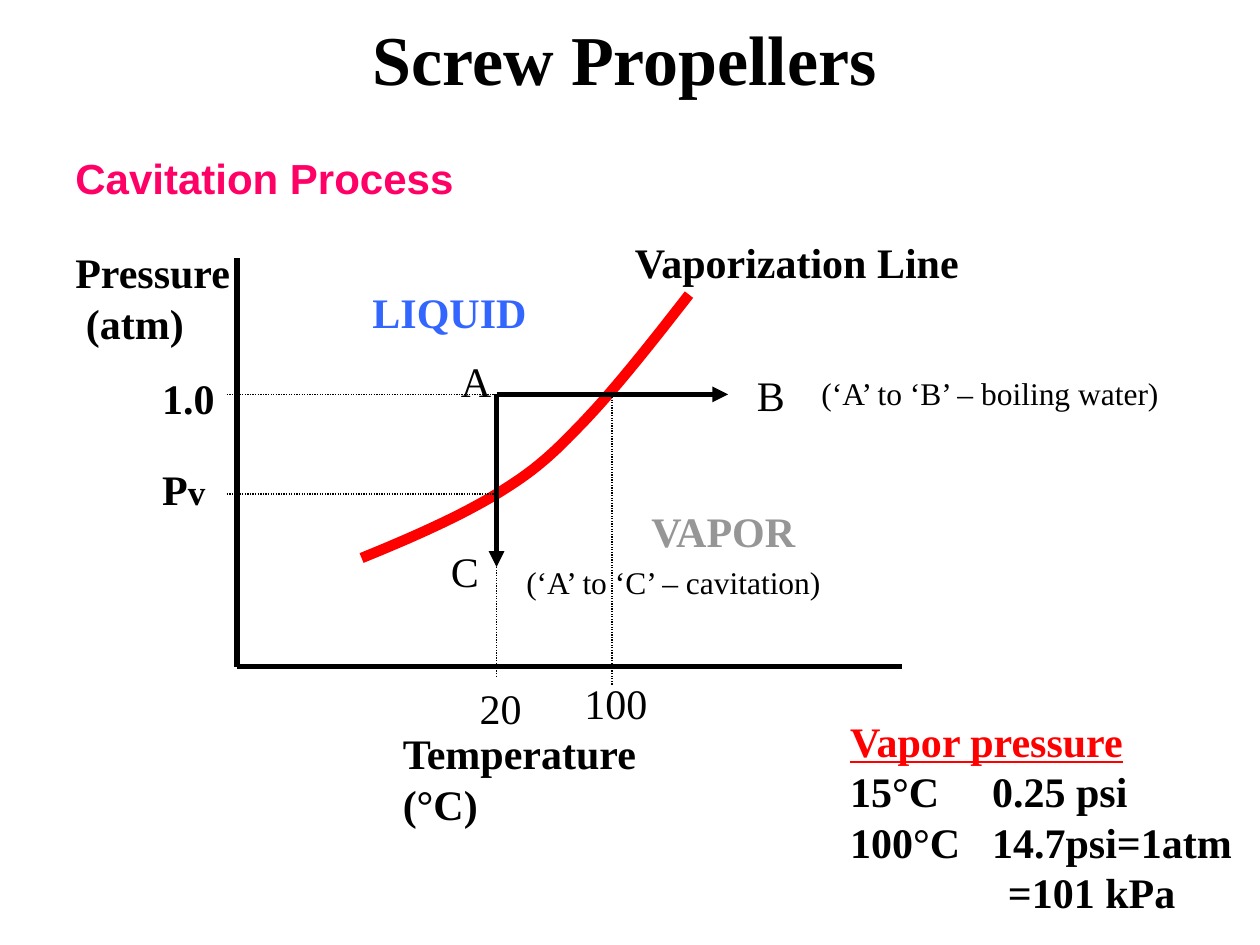
from dataclasses import dataclass

from lxml.etree import SubElement
from pptx import Presentation
from pptx.dml.color import RGBColor
from pptx.enum.dml import MSO_LINE
from pptx.enum.shapes import MSO_CONNECTOR
from pptx.enum.text import MSO_AUTO_SIZE
from pptx.oxml.ns import qn
from pptx.shapes.autoshape import Shape
from pptx.slide import Slide
from pptx.util import Cm, Pt

COLORS = {
    "black": "000000",
    "pink": "FF0066",
    "red": "FF0000",
    "blue": "3366FF",
    "gray": "969696",
}
SERIF = "Times New Roman"

# Key positions on the diagram, in centimetres
LEFT, BASE = 4.78, 13.44
COLD, HOT = 10.01, 12.34
ATM, VAPOR = 7.95, 9.96
TICK = 4.57


@dataclass
class Label:
    text: str
    x: float
    y: float
    w: float
    h: float = 1.27
    size: int = 24
    color: str = "black"
    bold: bool = True
    font: str = SERIF
    wrap: bool = False


@dataclass
class Line:
    x1: float
    y1: float
    x2: float
    y2: float
    width: float = 3
    arrow: bool = False
    dots: bool = False


LINES = [
    Line(LEFT, BASE, LEFT, 5.21),
    Line(LEFT, BASE, 18.19, BASE),
    Line(COLD, ATM, 14.68, ATM, arrow=True),
    Line(COLD, ATM, COLD, 11.43, arrow=True),
    Line(TICK, VAPOR, COLD, VAPOR, 0.75, dots=True),
    Line(TICK, ATM, COLD, ATM, 0.75, dots=True),
    Line(COLD, 11.07, COLD, 13.64, 0.75, dots=True),
    Line(HOT, ATM, HOT, 13.82, 0.75, dots=True),
]

# Start point, then Bezier pieces of two control points and an end point
START = (13.89, 5.94)
CURVE = [
    ((13.16, 6.88), (12.42, 7.82), (11.76, 8.51)),
    ((11.13, 9.17), (10.77, 9.5), (COLD, VAPOR)),
    ((9.27, 10.41), (8.28, 10.85), (7.29, 11.25)),
]
STEPS = 16

LABELS = [
    Label("Cavitation Process", 1.27, 2.95, 8.13, color="pink", font="Arial"),
    Label("Pressure\n (atm)", 1.27, 4.85, 3.66, 2.29),
    Label("Vaporization Line", 12.55, 4.65, 7.11),
    Label("Temperature (°C)", 7.87, 14.55, 6.45, 2.29, wrap=True),
    Label("LIQUID", 7.26, 5.66, 3.63, color="blue"),
    Label("VAPOR", 12.88, 10.06, 3.53, color="gray"),
    Label("20", 9.42, 13.64, 1.35, bold=False),
    Label("100", 11.53, 13.54, 1.78, bold=False),
    Label("1.0", 3.02, 7.39, 1.57),
    Label("A", 9.04, 7.04, 1.12, bold=False),
    Label("B", 15.01, 7.32, 1.07, bold=False),
    Label("C", 8.84, 10.87, 1.07, bold=False),
    Label("(‘A’ to ‘B’ – boiling water)", 16.31, 7.42, 7.82, 1.02, 18,
          bold=False, wrap=True),
    Label("(‘A’ to ‘C’ – cavitation)", 10.36, 11.23, 7.82, 1.02, 18,
          bold=False, wrap=True),
    Label("Screw Propellers", 7.26, 0.18, 10.74, 1.96, 40),
]
SUB = Label("P", 3.02, 9.22, 1.37)
FACTS = Label("Vapor pressure\n15°C\t0.25 psi\n100°C\t14.7psi=1atm\n=101 kPa",
              16.89, 14.3, 8.2, 4.32)


def shade(name: str) -> RGBColor:
    return RGBColor.from_string(COLORS[name])


def draw_line(slide: Slide, line: Line) -> None:
    shape = slide.shapes.add_connector(
        MSO_CONNECTOR.STRAIGHT,
        Cm(line.x1), Cm(line.y1), Cm(line.x2), Cm(line.y2))
    shape.line.color.rgb = shade("black")
    shape.line.width = Pt(line.width)
    if line.dots:
        shape.line.dash_style = MSO_LINE.ROUND_DOT
    if line.arrow:
        SubElement(shape.line._get_or_add_ln(), qn("a:tailEnd"), type="triangle")
    SubElement(shape._element.spPr, qn("a:effectLst"))


def draw_curve(slide: Slide) -> None:
    """Trace the Bezier pieces as one smooth open outline."""
    points = []
    begin = START
    for one, two, end in CURVE:
        for step in range(1, STEPS + 1):
            t = step / STEPS
            u = 1 - t
            points.append(tuple(
                Cm(u**3 * a + 3 * u * u * t * b + 3 * u * t * t * c + t**3 * d)
                for a, b, c, d in zip(begin, one, two, end)))
        begin = end
    path = slide.shapes.build_freeform(Cm(START[0]), Cm(START[1]))
    path.add_line_segments(points, close=False)
    shape = path.convert_to_shape()
    shape.shadow.inherit = False
    shape.fill.background()
    shape.line.color.rgb = shade("red")
    shape.line.width = Pt(6)


def draw_label(slide: Slide, label: Label) -> Shape:
    box = slide.shapes.add_textbox(
        Cm(label.x), Cm(label.y), Cm(label.w), Cm(label.h))
    frame = box.text_frame
    frame.text = label.text
    frame.word_wrap = label.wrap
    frame.auto_size = MSO_AUTO_SIZE.SHAPE_TO_FIT_TEXT
    for par in frame.paragraphs:
        for run in par.runs:
            font = run.font
            font.name = label.font
            font.size = Pt(label.size)
            font.bold = label.bold
            font.color.rgb = shade(label.color)
    return box


def draw_sub(slide: Slide) -> None:
    """Write the vapor pressure symbol with its smaller second letter."""
    par = draw_label(slide, SUB).text_frame.paragraphs[0]
    run = par.add_run()
    run.text = "v"
    run.font.name = SERIF
    run.font.size = Pt(20)
    run.font.bold = True
    run.font.color.rgb = shade("black")


def draw_facts(slide: Slide) -> None:
    """Write the vapor pressure list, aligned by tab stops and an indent."""
    head, *rows, last = draw_label(slide, FACTS).text_frame.paragraphs
    font = head.runs[0].font
    font.color.rgb = shade("red")
    font.underline = True
    for row in rows:
        tabs = SubElement(row._p.get_or_add_pPr(), qn("a:tabLst"))
        SubElement(tabs, qn("a:tab"), pos=str(Cm(2.86)), algn="l")
    last._p.get_or_add_pPr().set("marL", str(Cm(3.18)))


def main() -> None:
    deck = Presentation()
    deck.slide_width, deck.slide_height = Cm(25.4), Cm(19.05)
    slide = deck.slides.add_slide(deck.slide_layouts[6])
    draw_curve(slide)
    for line in LINES:
        draw_line(slide, line)
    for label in LABELS:
        draw_label(slide, label)
    draw_sub(slide)
    draw_facts(slide)
    deck.save("out.pptx")


if __name__ == "__main__":
    main()
